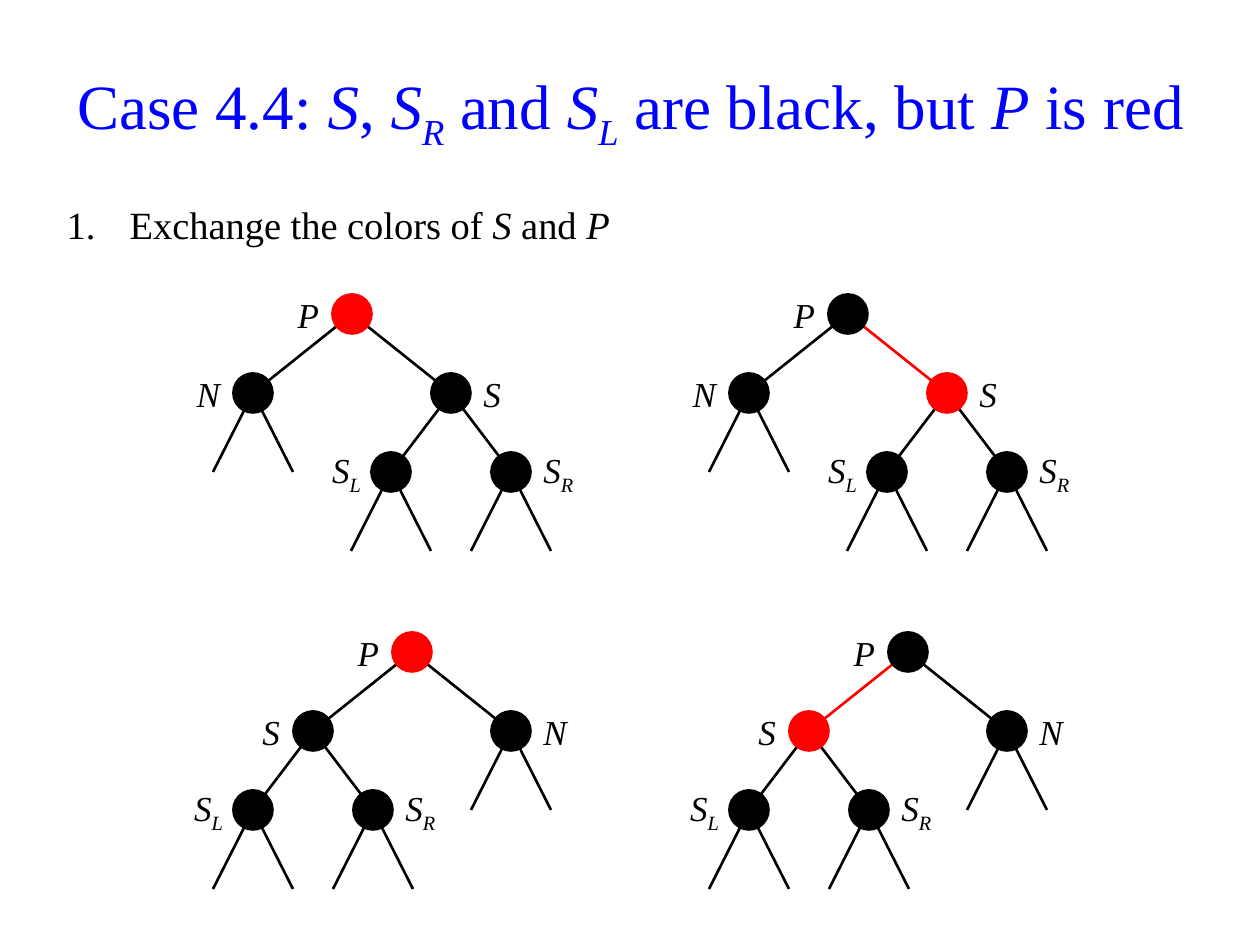
"""Build the slide showing the red-black tree recolouring of case 4.4."""
from typing import NamedTuple

from lxml import etree
from pptx import Presentation
from pptx.dml.color import RGBColor
from pptx.enum.shapes import MSO_CONNECTOR, MSO_SHAPE
from pptx.enum.text import MSO_ANCHOR, MSO_AUTO_SIZE, PP_ALIGN
from pptx.oxml.ns import qn
from pptx.util import Pt

BLACK = RGBColor(0, 0, 0)
RED = RGBColor(255, 0, 0)
BLUE = RGBColor(0, 0, 255)
FONT = "Times New Roman"
LEFT, CENTER, RIGHT = PP_ALIGN.LEFT, PP_ALIGN.CENTER, PP_ALIGN.RIGHT
TOP, MIDDLE = MSO_ANCHOR.TOP, MSO_ANCHOR.MIDDLE
NO_AUTOFIT = MSO_AUTO_SIZE.NONE
OVAL = MSO_SHAPE.OVAL
STRAIGHT = MSO_CONNECTOR.STRAIGHT

EMU_PER_INCH, PX_PER_INCH = 914400, 126
DIAMETER = 40
LABEL_WIDTH = 60
ROW = 79
CHILD_SPAN, GRANDCHILD_SPAN, LEG_SPAN = 99, 60, 40


class Part(NamedTuple):
    text: str
    italic: bool = False
    subscript: bool = False


class Node(NamedTuple):
    label: list[Part]
    x: int
    y: int
    side: int
    color: RGBColor = BLACK
    inset: int = 13


class Tree(NamedTuple):
    x: int
    y: int
    sibling_side: int
    exchanged: bool


P, N, S = (Part(name, italic=True) for name in "PNS")
SUB_L, SUB_R = (Part(name, italic=True, subscript=True) for name in "LR")

TITLE = [Part("Case 4.4: "), S, Part(", "), S, SUB_R, Part(" and "), S, SUB_L,
         Part(" are black, but "), P, Part(" is red")]
STEP = [Part("Exchange the colors of "), S, Part(" and "), P]
TREES = [
    Tree(352, 314, 1, False),
    Tree(848, 314, 1, True),
    Tree(412, 652, -1, False),
    Tree(908, 652, -1, True),
]


def px(length: int) -> int:
    """Convert pixels to EMU."""
    return round(length * EMU_PER_INCH / PX_PER_INCH)


def place(shape, left: int, top: int, width: int, height: int) -> None:
    """Move and size a shape."""
    shape.left, shape.top = px(left), px(top)
    shape.width, shape.height = px(width), px(height)


def write(shape, parts: list[Part], *, size: int, color: RGBColor = BLACK,
          align=LEFT, anchor=MIDDLE, line_spacing: float = 1.0) -> None:
    """Write one formatted paragraph into a shape."""
    frame = shape.text_frame
    frame.word_wrap = True
    frame.auto_size = NO_AUTOFIT
    frame.vertical_anchor = anchor
    paragraph = frame.paragraphs[0]
    paragraph.alignment = align
    paragraph.line_spacing = line_spacing
    paragraph.space_before = Pt(0)
    for part in parts:
        run = paragraph.add_run()
        run.text = part.text
        run.font.name = FONT
        run.font.size = Pt(size)
        run.font.italic = part.italic
        run.font.color.rgb = color
        if part.subscript:
            run._r.get_or_add_rPr().set("baseline", "-25000")


def number(paragraph, indent: int) -> None:
    """Give a paragraph an automatic number with a hanging indent."""
    properties = paragraph._p.get_or_add_pPr()
    properties.set("marL", str(px(indent)))
    properties.set("indent", str(-px(indent)))
    etree.SubElement(properties, qn("a:buFont"), typeface="+mj-lt")
    etree.SubElement(properties, qn("a:buAutoNum"), type="arabicPeriod")


def draw_edge(slide, start: Node, x: int, y: int, color: RGBColor = BLACK) -> None:
    """Draw a line from a node's centre to a point."""
    line = slide.shapes.add_connector(STRAIGHT, px(start.x), px(start.y), px(x), px(y))
    line.line.color.rgb = color
    line.line.width = Pt(1.5)
    etree.SubElement(line._element.spPr, qn("a:effectLst"))


def draw_node(slide, node: Node) -> None:
    """Draw a node and the label beside it."""
    radius = DIAMETER // 2
    circle = slide.shapes.add_shape(OVAL, px(node.x - radius), px(node.y - radius),
                                    px(DIAMETER), px(DIAMETER))
    circle.shadow.inherit = False
    circle.fill.solid()
    circle.fill.fore_color.rgb = node.color
    circle.line.color.rgb = node.color
    circle.line.width = Pt(1)

    left = node.x + radius if node.side > 0 else node.x - radius - LABEL_WIDTH
    label = slide.shapes.add_textbox(px(left), px(node.y - ROW // 2), px(LABEL_WIDTH), px(ROW))
    label.text_frame.margin_right = px(node.inset)
    write(label, node.label, size=20, align=LEFT if node.side > 0 else RIGHT)


def draw_tree(slide, tree: Tree) -> None:
    """Draw a tree with its sibling subtree on the given side."""
    side = tree.sibling_side
    parent_color, sibling_color = (BLACK, RED) if tree.exchanged else (RED, BLACK)
    child_y, grandchild_y = tree.y + ROW, tree.y + 2 * ROW
    sibling_x = tree.x + side * CHILD_SPAN
    parent = Node([P], tree.x, tree.y, -1, parent_color)
    nephew = Node([N], tree.x - side * CHILD_SPAN, child_y, -side)
    sibling = Node([S], sibling_x, child_y, side, sibling_color)
    left = Node([S, SUB_L], sibling_x - GRANDCHILD_SPAN, grandchild_y, -1, inset=10)
    right = Node([S, SUB_R], sibling_x + GRANDCHILD_SPAN, grandchild_y, 1)

    draw_edge(slide, parent, nephew.x, nephew.y)
    draw_edge(slide, parent, sibling.x, sibling.y, sibling_color)
    for child in (left, right):
        draw_edge(slide, sibling, child.x, child.y)
    for node in (nephew, left, right):
        for direction in (-1, 1):
            draw_edge(slide, node, node.x + direction * LEG_SPAN, node.y + ROW)
    for node in (parent, nephew, sibling, left, right):
        draw_node(slide, node)


def main() -> None:
    """Build and save the presentation."""
    presentation = Presentation()
    presentation.slide_width, presentation.slide_height = px(1260), px(945)
    slide = presentation.slides.add_slide(presentation.slide_layouts[1])
    title, body = slide.shapes.title, slide.placeholders[1]
    place(title, 35, 37, 1191, 139)
    write(title, TITLE, size=36, color=BLUE, align=CENTER, line_spacing=0.9)
    place(body, 54, 195, 1150, 59)
    number(body.text_frame.paragraphs[0], 63)
    write(body, STEP, size=22, anchor=TOP)
    for tree in TREES:
        draw_tree(slide, tree)
    presentation.save("out.pptx")


if __name__ == "__main__":
    main()
